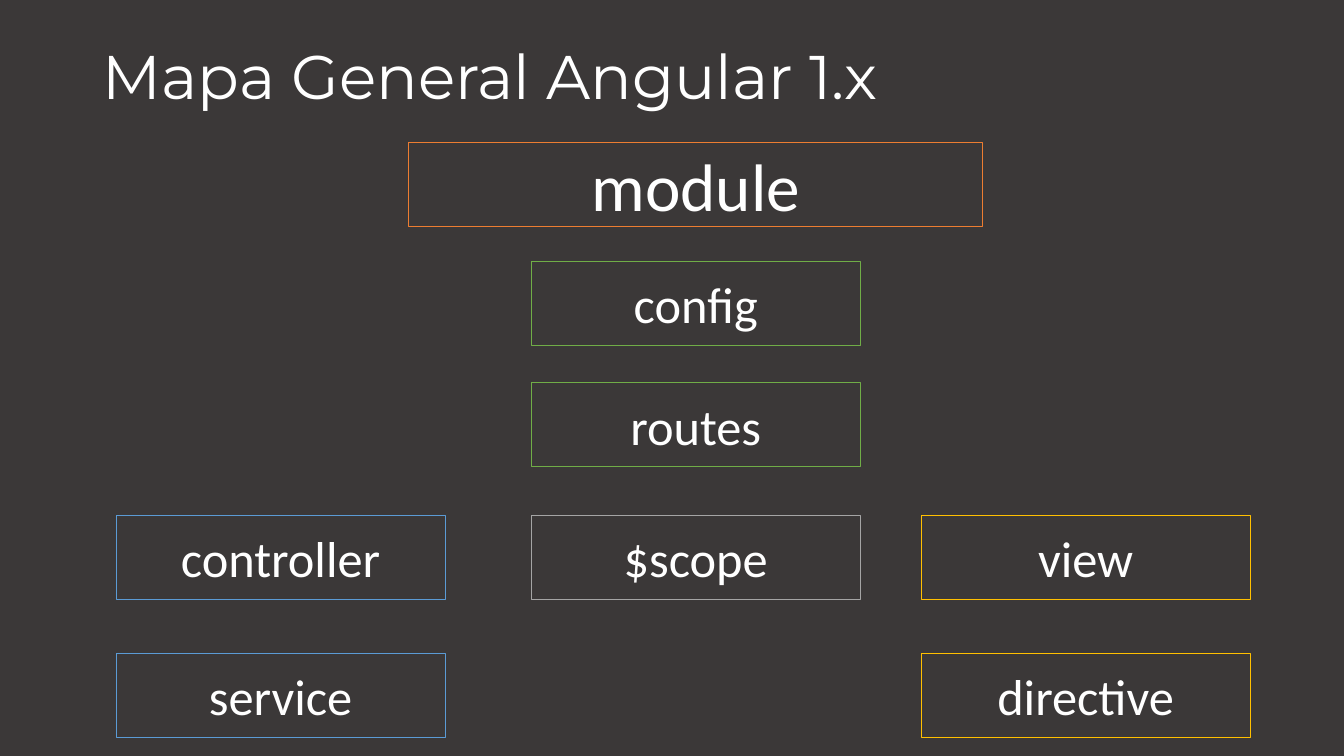
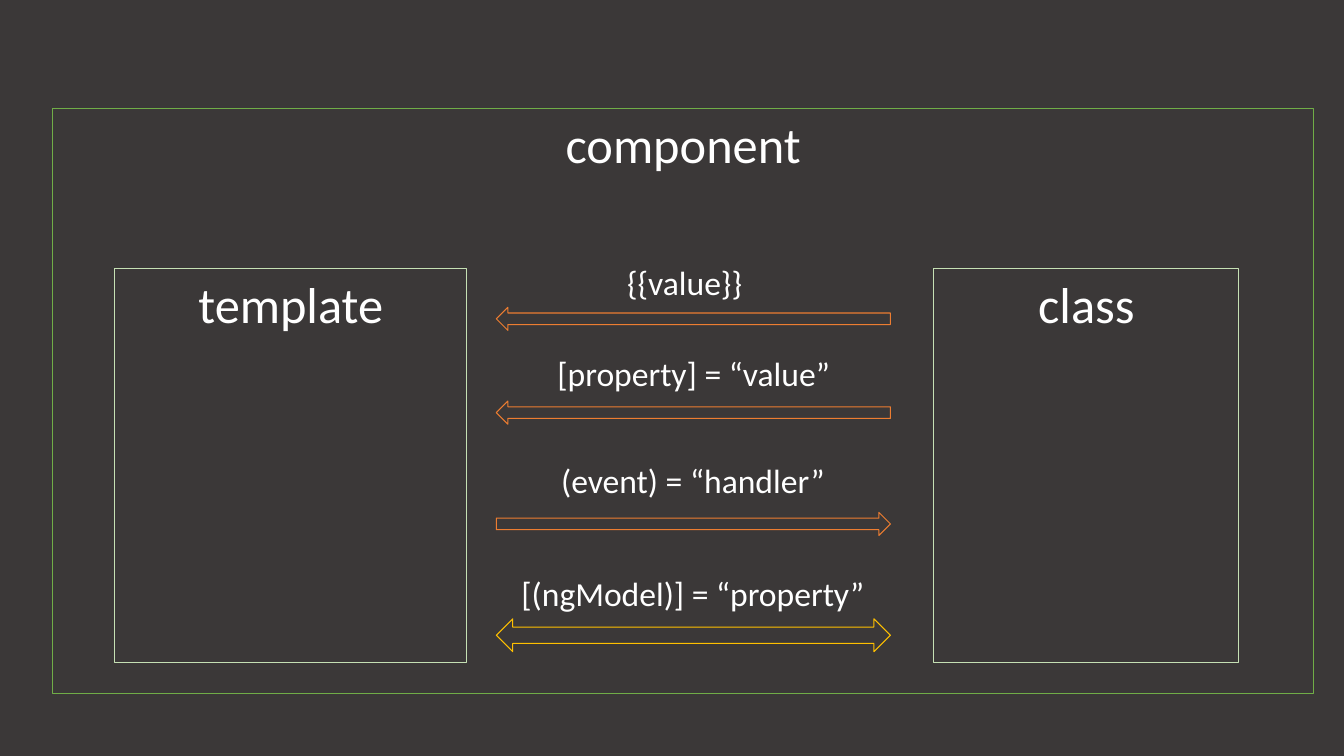
from pptx import Presentation
from pptx.dml.color import RGBColor
from pptx.enum import shapes, text
from pptx.util import Pt

COLOURS = {
    "background": "3B3838", "white": "FFFFFF", "orange": "ED7D31",
    "green": "70AD47", "pale green": "C5E0B4", "grey": "A5A5A5",
    "gold": "FFC000", "blue": "5B9BD5",
}
KINDS = shapes.MSO_SHAPE
MIDDLE, TOP = text.MSO_ANCHOR.MIDDLE, text.MSO_ANCHOR.TOP

# Map slide: label, column, row, line colour
MAP_TITLE = "Mapa General Angular 1.x"
MAP_BOXES = [
    ("config", 1, 1, "green"),
    ("routes", 1, 2, "green"),
    ("$scope", 1, 3, "grey"),
    ("view", 2, 3, "gold"),
    ("directive", 2, 4, "gold"),
    ("controller", 0, 3, "blue"),
    ("service", 0, 4, "blue"),
]
COLUMNS = [83, 379.5, 658]
ROWS = [101.5, 187, 273.5, 368, 467]
BOX_WIDTH, BOX_HEIGHT, MODULE_WIDTH = 235, 60, 410

# Component slide: label, left, top, width, height, line colour
PANELS = [
    ("component", 37.5, 77.5, 901, 418, "green"),
    ("template", 82, 191.5, 251.5, 281.5, "pale green"),
    ("class", 667, 191.5, 218, 281.5, "pale green"),
]
# Label, its centre and top, then arrow kind, top, height and colour
BINDINGS = [
    ("{{value}}", 489, 183.5, KINDS.LEFT_ARROW, 219.5, 16.5, "orange"),
    ("[property] = “value”", 495.5, 248.5, KINDS.LEFT_ARROW, 286.5, 16.5, "orange"),
    ("(event) = “handler”", 495, 325, KINDS.RIGHT_ARROW, 366, 16.5, "orange"),
    ("[(ngModel)] = “property”", 495, 405.5, KINDS.LEFT_RIGHT_ARROW, 442, 23.5, "gold"),
]
ARROW_LEFT, ARROW_WIDTH, LABEL_HEIGHT = 354.5, 281.5, 36


def colour(name):
    return RGBColor.from_string(COLOURS[name])


def write(shape, words, size, font="Calibri", align=text.PP_ALIGN.CENTER):
    para = shape.text_frame.paragraphs[0]
    para.text = words
    para.alignment = align
    para.font.size = Pt(size)
    para.font.name = font
    para.font.color.rgb = colour("white")
    return para


def add_outline(page, kind, left, top, width, height, line):
    shape = page.shapes.add_shape(kind, Pt(left), Pt(top), Pt(width), Pt(height))
    shape.shadow.inherit = False
    shape.fill.background()
    shape.line.color.rgb = colour(line)
    shape.line.width = Pt(0.75)
    return shape


def add_box(page, words, left, top, width, height, line, size=36, anchor=MIDDLE):
    box = add_outline(page, KINDS.RECTANGLE, left, top, width, height, line)
    box.text_frame.vertical_anchor = anchor
    write(box, words, size)


def add_title(page, words):
    title = page.shapes.title
    title.left, title.top, title.width, title.height = Pt(66), Pt(4.5), Pt(828), Pt(104.5)
    title.text_frame.vertical_anchor = MIDDLE
    write(title, words, 44, "Montserrat", text.PP_ALIGN.LEFT).line_spacing = 0.9


def add_label(page, words, centre, top):
    label = page.shapes.add_textbox(
        Pt(centre - ARROW_WIDTH / 2), Pt(top), Pt(ARROW_WIDTH), Pt(LABEL_HEIGHT))
    label.text_frame.word_wrap = True
    label.text_frame.auto_size = text.MSO_AUTO_SIZE.SHAPE_TO_FIT_TEXT
    write(label, words, 24)


def build_map(deck):
    page = deck.slides.add_slide(deck.slide_layouts.get_by_name("Title Only"))
    add_title(page, MAP_TITLE)
    # The module box shares the centre of the middle column
    module_left = COLUMNS[1] + (BOX_WIDTH - MODULE_WIDTH) / 2
    add_box(page, "module", module_left, ROWS[0], MODULE_WIDTH, BOX_HEIGHT, "orange", 48)
    for words, column, row, line in MAP_BOXES:
        add_box(page, words, COLUMNS[column], ROWS[row], BOX_WIDTH, BOX_HEIGHT, line)


def build_component(deck):
    page = deck.slides.add_slide(deck.slide_layouts.get_by_name("Blank"))
    for panel in PANELS:
        add_box(page, *panel, anchor=TOP)
    for words, centre, label_top, kind, top, height, line in BINDINGS:
        add_outline(page, kind, ARROW_LEFT, top, ARROW_WIDTH, height, line)
        add_label(page, words, centre, label_top)


def main():
    deck = Presentation()
    deck.slide_width, deck.slide_height = Pt(960), Pt(540)
    # Shared background
    fill = deck.slide_master.background.fill
    fill.solid()
    fill.fore_color.rgb = colour("background")
    build_map(deck)
    build_component(deck)
    deck.save("out.pptx")


if __name__ == "__main__":
    main()
